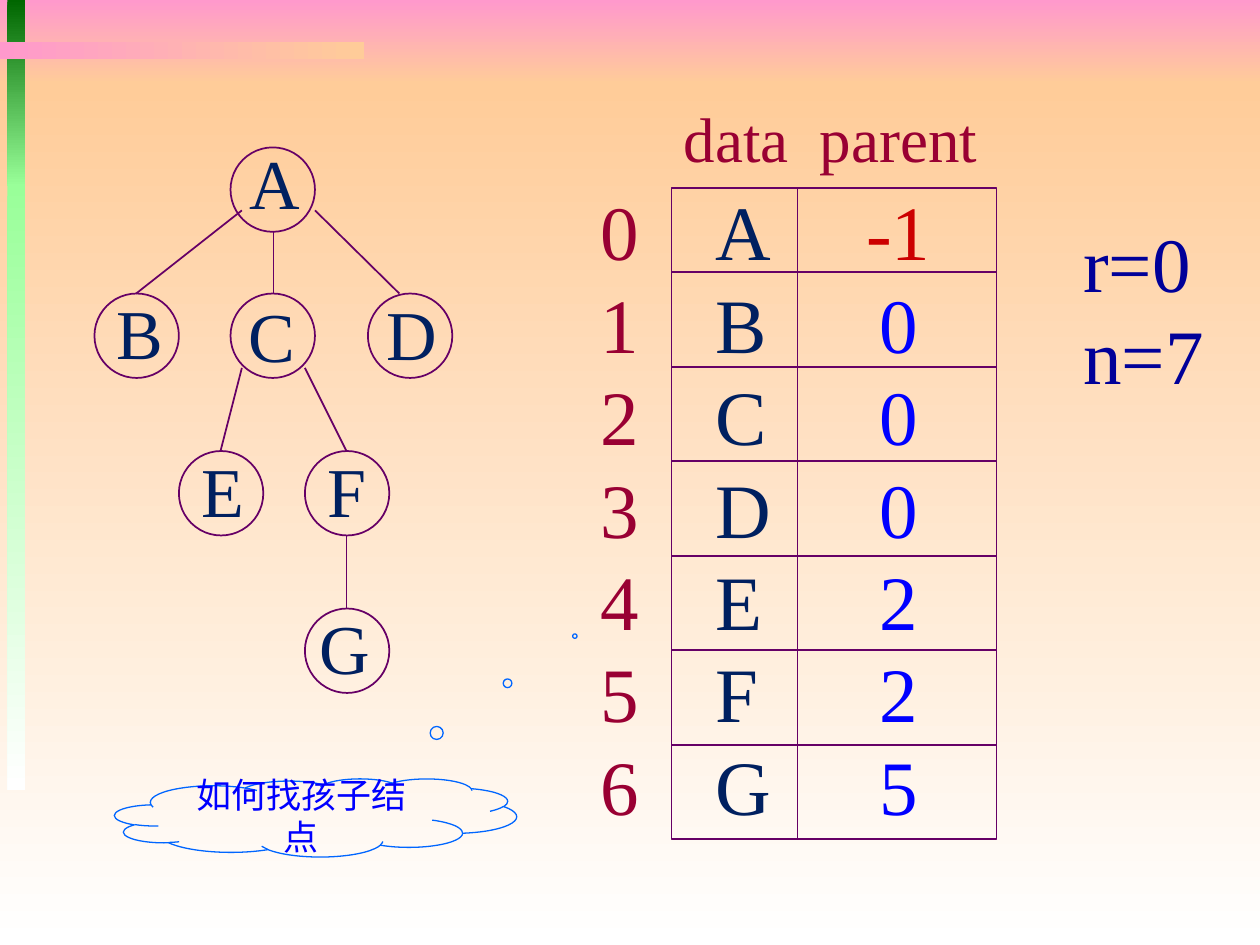
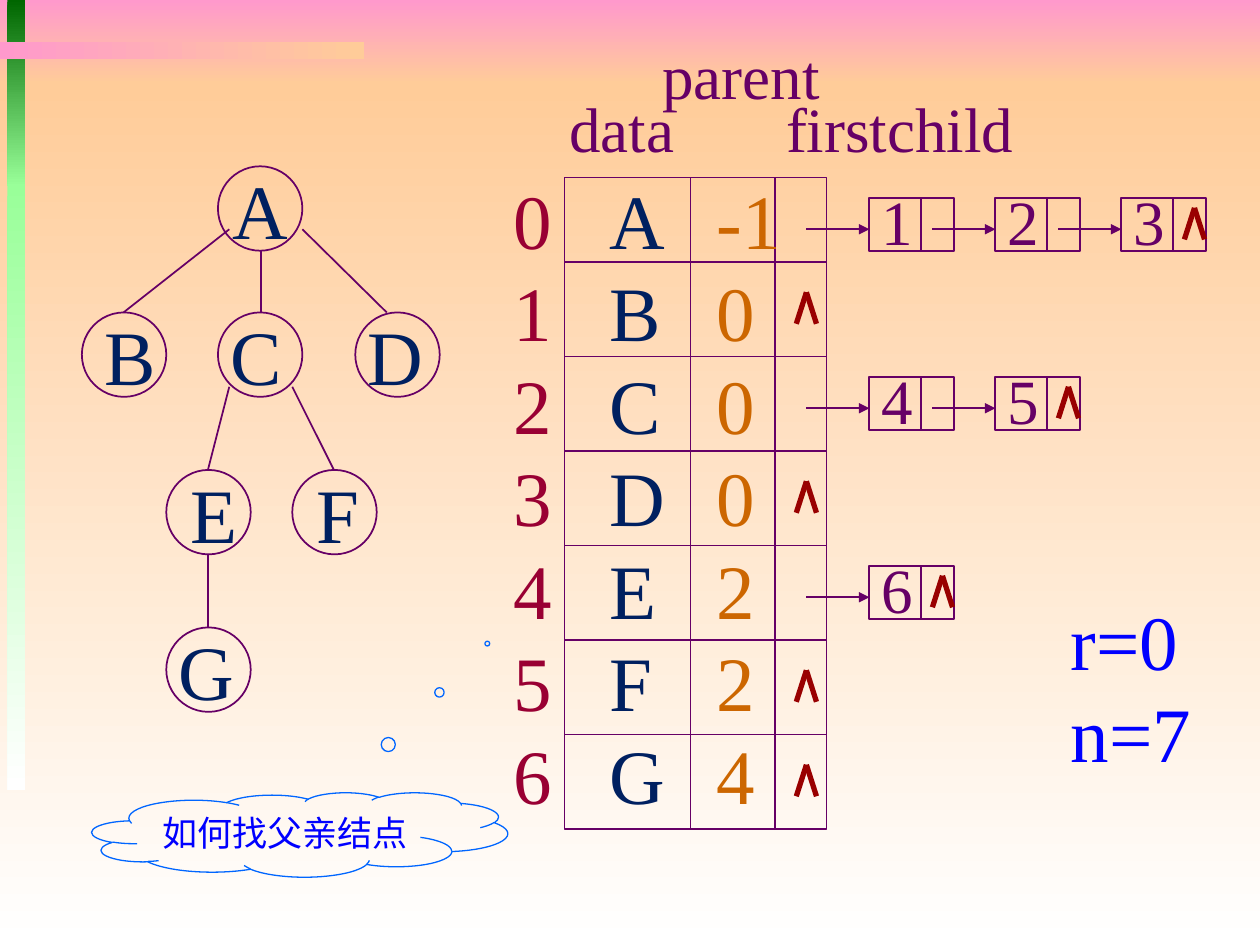
from dataclasses import dataclass
from lxml.etree import SubElement
from pptx import Presentation
from pptx.dml.color import RGBColor
from pptx.enum.shapes import MSO_CONNECTOR, MSO_SHAPE, MSO_SHAPE_TYPE
from pptx.enum.text import MSO_ANCHOR, PP_ALIGN
from pptx.oxml.ns import qn
from pptx.util import Inches, Pt


@dataclass(frozen=True)
class Theme:
    font: str = "Times New Roman"
    pink: str = "FF99CC"
    peach: str = "FFCC99"
    dark_green: str = "006600"
    light_green: str = "99FF99"
    white: str = "FFFFFF"
    purple: str = "660066"
    navy: str = "002060"
    crimson: str = "990033"
    red: str = "CC0000"
    dark_red: str = "990000"
    orange: str = "CC6600"
    blue: str = "0000FF"
    dark_blue: str = "000099"
    cloud: str = "0066FF"
    large: int = 44
    letter: int = 40
    heading: int = 36
    callout: int = 20


theme = Theme()


def add_text(slide, lines, left, top, size, color, width=0.85, align=PP_ALIGN.LEFT):
    height = len(lines) * size / 60 + 0.1
    box = slide.shapes.add_textbox(Inches(left), Inches(top), Inches(width), Inches(height))
    frame = box.text_frame
    frame.word_wrap = True
    frame.text = "\n".join(lines)
    for paragraph in frame.paragraphs:
        paragraph.alignment = align
        paragraph.line_spacing = Pt(size * 1.2)
        paragraph.font.name = theme.font
        paragraph.font.size = Pt(size)
        paragraph.font.color.rgb = RGBColor.from_string(color)
    return frame


def add_line(slide, x1, y1, x2, y2, color=theme.purple, width=1, arrow=False):
    line = slide.shapes.add_connector(
        MSO_CONNECTOR.STRAIGHT, Inches(x1), Inches(y1), Inches(x2), Inches(y2))
    line.line.color.rgb = RGBColor.from_string(color)
    line.line.width = Pt(width)
    if arrow:
        SubElement(line.line._get_or_add_ln(), qn("a:tailEnd"), type="triangle")
    SubElement(line.element.spPr, qn("a:effectLst"))


presentation = Presentation()
presentation.slide_width = Inches(10)
presentation.slide_height = Inches(7.5)
blank_layout = presentation.slide_layouts[6]
parent_slide = presentation.slides.add_slide(blank_layout)
child_slide = presentation.slides.add_slide(blank_layout)

bands = [
    (0, 0, 10, 0.67, theme.pink, theme.peach, 270),
    (0, 0.67, 10, 6.83, theme.peach, theme.white, 270),
    (0.06, 0, 0.14, 1.48, theme.dark_green, theme.light_green, 270),
    (0.06, 1.46, 0.14, 4.81, theme.light_green, theme.white, 270),
    (0, 0.33, 2.89, 0.14, theme.pink, theme.peach, 0),
]
for number, (left, top, width, height, start, end, angle) in enumerate(bands):
    band = parent_slide.shapes.add_shape(
        MSO_SHAPE.RECTANGLE, Inches(left), Inches(top), Inches(width), Inches(height))
    band.shadow.inherit = False
    band.line.fill.background()
    band.fill.gradient()
    band.fill.gradient_angle = angle
    for stop, color in zip(band.fill.gradient_stops, (start, end)):
        stop.color.rgb = RGBColor.from_string(color)
    band.element.nvSpPr.cNvPr.set("id", str(100 + number))
    blank_layout.shapes.element.append(band.element)

letters = "ABCDEFG"
node_size = 0.67
row_height = 0.75
first_row_height = 0.67
table_height = 5.17
tree_nodes = {"A": (1.08, 0), "B": (0, 1.16), "C": (1.08, 1.16), "D": (2.17, 1.16),
              "E": (0.67, 2.41), "F": (1.67, 2.41)}
tree_edges = [(1.42, 0.67, 1.42, 1.16), (1.75, 0.5, 2.42, 1.16), (1.17, 0.5, 0.33, 1.16),
              (1.17, 1.75, 1, 2.41), (1.67, 1.75, 2, 2.41)]

diagrams = [
    dict(slide=parent_slide, origin=(0.75, 1.17), last_parent="F", letter_size=theme.letter,
         letter_shifts=[(0.05, -0.11), (0.08, -0.08), (0.04, -0.06), (0.05, -0.07),
                        (0.08, -0.08), (0.08, -0.08), (0.02, -0.08)],
         table=(5.33, 1.49, 2.58), dividers=[6.33], column_top=1.41,
         index_left=4.67, data_left=5.58,
         headings=[("data", 5.33, 0.74), ("parent", 6.41, 0.74)], heading_color=theme.crimson,
         summary=(8.5, 1.66, theme.dark_blue),
         cloud=(0.91, 6.18, 3.19, 0.62), cloud_tail=(0.645, -2.325), question="如何找孩子结点"),
    dict(slide=child_slide, origin=(0.65, 1.32), last_parent="E", letter_size=theme.large,
         letter_shifts=[(0.02, -0.08), (0.08, -0.08), (0, -0.08), (0, -0.08),
                        (0.09, -0.08), (0.09, -0.08), (0, -0.08)],
         table=(4.48, 1.41, 2.08), dividers=[5.48, 6.15], column_top=1.32,
         index_left=3.98, data_left=4.74,
         headings=[("data", 4.42, 0.66), ("firstchild", 6.14, 0.66), ("parent", 5.16, 0.24)],
         heading_color=theme.purple, summary=(8.4, 4.66, theme.blue),
         cloud=(0.73, 6.29, 3.3, 0.67), cloud_tail=(0.451, -2.264), question="如何找父亲结点"),
]

for diagram in diagrams:
    slide = diagram["slide"]
    tree_left, tree_top = diagram["origin"]
    last_x = tree_nodes[diagram["last_parent"]][0]
    nodes = {**tree_nodes, "G": (last_x, 3.66)}
    edges = tree_edges + [(last_x + 0.33, 3.08, last_x + 0.33, 3.66)]
    for (letter, (x, y)), (shift_x, shift_y) in zip(nodes.items(), diagram["letter_shifts"]):
        left, top = tree_left + x, tree_top + y
        slide.shapes.add_shape(MSO_SHAPE.OVAL, Inches(left), Inches(top),
                               Inches(node_size), Inches(node_size))
        add_text(slide, [letter], left + shift_x, top + shift_y,
                 diagram["letter_size"], theme.navy)
    for x1, y1, x2, y2 in edges:
        add_line(slide, tree_left + x1, tree_top + y1, tree_left + x2, tree_top + y2)

    left, top, width = diagram["table"]
    slide.shapes.add_shape(MSO_SHAPE.RECTANGLE, Inches(left), Inches(top),
                           Inches(width), Inches(table_height))
    for row in range(6):
        y = top + first_row_height + row * row_height
        add_line(slide, left, y, left + width, y)
    for x in diagram["dividers"]:
        add_line(slide, x, top, x, top + table_height)
    add_text(slide, [str(index) for index in range(7)], diagram["index_left"],
             diagram["column_top"], theme.large, theme.crimson)
    add_text(slide, letters, diagram["data_left"], diagram["column_top"],
             theme.large, theme.navy)
    for heading, x, y in diagram["headings"]:
        add_text(slide, [heading], x, y, theme.heading, diagram["heading_color"], 2.2)
    x, y, color = diagram["summary"]
    add_text(slide, ["r=0", "n=7"], x, y, theme.large, color, 1.3)

    cloud = slide.shapes.add_shape(MSO_SHAPE.CLOUD_CALLOUT,
                                   *[Inches(value) for value in diagram["cloud"]])
    cloud.adjustments[0], cloud.adjustments[1] = diagram["cloud_tail"]
    frame = cloud.text_frame
    frame.word_wrap = True
    frame.vertical_anchor = MSO_ANCHOR.MIDDLE
    frame.text = diagram["question"]
    paragraph = frame.paragraphs[0]
    paragraph.alignment = PP_ALIGN.CENTER
    paragraph.font.name = theme.font
    paragraph.font.size = Pt(theme.callout)
    paragraph.font.color.rgb = RGBColor.from_string(theme.blue)

parents = add_text(parent_slide, ["-1", "0", "0", "0", "2", "2", "5"], 6.53, 1.41,
                   theme.large, theme.blue, 1.2, PP_ALIGN.CENTER)
parents.paragraphs[0].font.color.rgb = RGBColor.from_string(theme.red)
add_text(child_slide, ["-1", "0", "0", "0", "2", "2", "4"], 5.59, 1.32,
         theme.large, theme.orange)

null_marks = [(6.4, 1.57 + row * row_height) for row in (1, 3, 5, 6)]
for top, children in [(1.57, "123"), (2.99, "45"), (4.49, "6")]:
    for position, child in enumerate(children):
        left = 6.9 + position
        child_slide.shapes.add_shape(MSO_SHAPE.RECTANGLE, Inches(left), Inches(top),
                                     Inches(0.67), Inches(0.42))
        add_line(child_slide, left + 0.41, top, left + 0.41, top + 0.42)
        add_line(child_slide, left - 0.5, top + 0.25, left, top + 0.25, arrow=True)
        add_text(child_slide, [child], left, top - 0.17, theme.heading, theme.purple)
    null_marks.append((left + 0.58, top + 0.08))
for x, y in null_marks:
    for side in (-0.08, 0.08):
        add_line(child_slide, x, y, x + side, y + 0.25, theme.dark_red, 3)

for slide in presentation.slides:
    for shape in slide.shapes:
        if shape.shape_type == MSO_SHAPE_TYPE.AUTO_SHAPE:
            is_cloud = shape.auto_shape_type == MSO_SHAPE.CLOUD_CALLOUT
            shape.shadow.inherit = False
            shape.fill.background()
            shape.line.color.rgb = RGBColor.from_string(theme.cloud if is_cloud else theme.purple)
            shape.line.width = Pt(0.75 if is_cloud else 1)

presentation.save("out.pptx")
